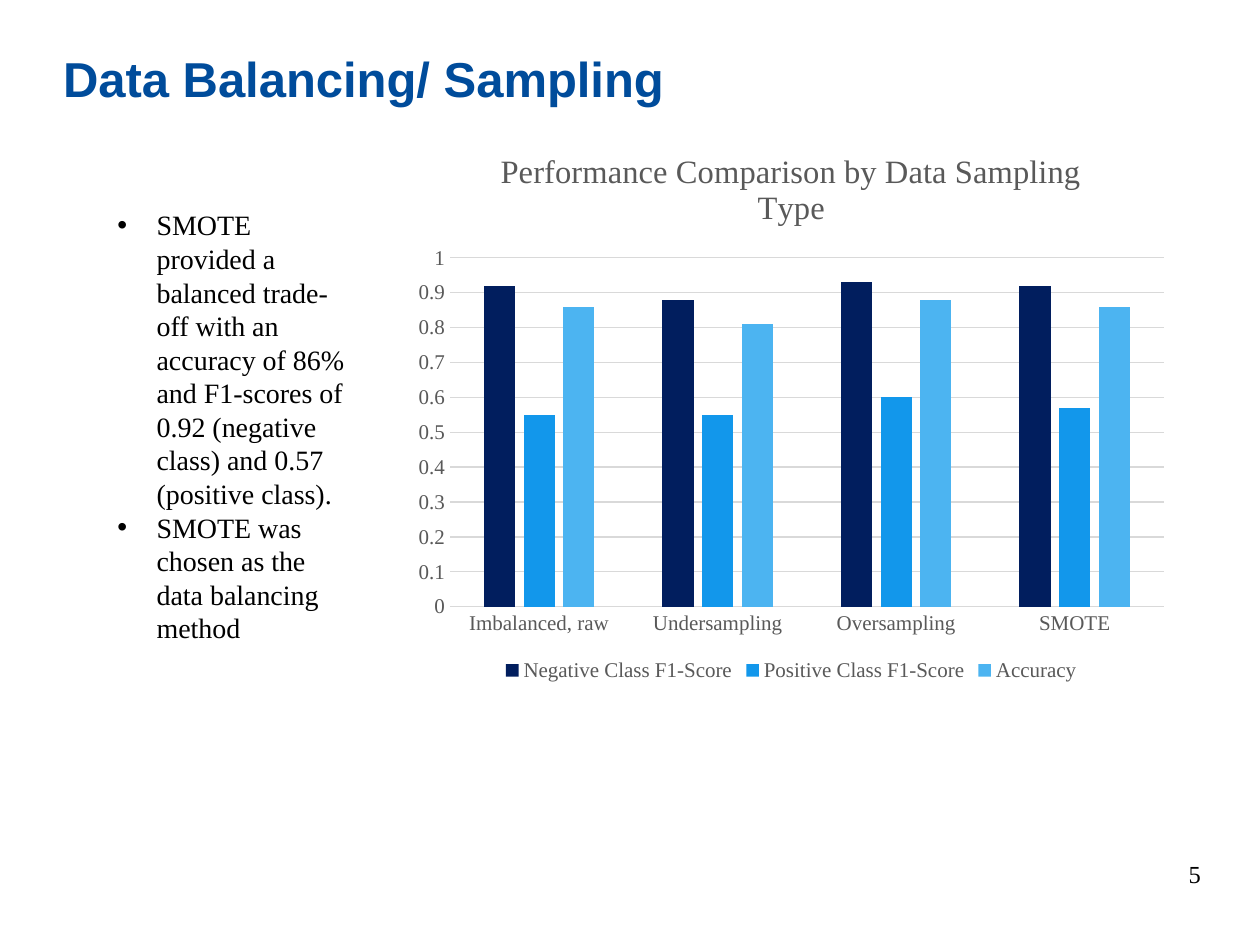
from pptx import Presentation
from pptx.chart.data import CategoryChartData
from pptx.dml.color import RGBColor
from pptx.enum.chart import XL_CHART_TYPE as ChartType, XL_LEGEND_POSITION as LegendPosition, XL_TICK_MARK as TickMark
from pptx.enum.text import MSO_ANCHOR as Anchor, MSO_AUTO_SIZE as AutoSize, PP_ALIGN as Align
from pptx.util import Pt

TITLE = "Data Balancing/ Sampling"
BULLETS = [
    "SMOTE provided a balanced trade-off with an accuracy of 86% and F1-scores of "
    "0.92 (negative class) and 0.57 (positive class).",
    "SMOTE was chosen as the data balancing method",
]
PAGE_NUMBER = "5"
CHART_TITLE = "Performance Comparison by Data Sampling Type"
CATEGORIES = ["Imbalanced, raw", "Undersampling", "Oversampling", "SMOTE"]
SERIES = [
    ("Negative Class F1-Score", "navy", [0.92, 0.88, 0.93, 0.92]),
    ("Positive Class F1-Score", "blue", [0.55, 0.55, 0.6, 0.57]),
    ("Accuracy", "sky", [0.86, 0.81, 0.88, 0.86]),
]

COLORS = {
    "title": "004C9B", "text": "000000", "chart_text": "595959", "grid": "D9D9D9",
    "navy": "011E5E", "blue": "1297EB", "sky": "4CB4F1",
}
SANS, SERIF = "Arial", "Times New Roman"

# left, top, width, height in points
TITLE_AREA = (28.8, 31, 665.3, 84.2)
BODY_AREA = (59.8, 115.2, 150.5, 280.8)
CHART_AREA = (230.4, 72.7, 443.5, 319.7)
NUMBER_AREA = (641.5, 484.6, 51.8, 28.8)
BULLET_INDENT = 22.5


def rgb(name):
    return RGBColor.from_string(COLORS[name])


def style_font(font, name, size, color, bold=False):
    font.name, font.size, font.bold = name, Pt(size), bold
    font.color.rgb = rgb(color)


def add_span(para, text, *style, **options):
    span = para.add_run()
    span.text = text
    style_font(span.font, *style, **options)


def place(shape, area):
    shape.left, shape.top, shape.width, shape.height = map(Pt, area)


def prepare_frame(shape, anchor):
    frame = shape.text_frame
    frame.word_wrap = True
    frame.auto_size = AutoSize.NONE
    frame.vertical_anchor = anchor
    return frame


def add_title(slide):
    place(slide.shapes.title, TITLE_AREA)
    para = prepare_frame(slide.shapes.title, Anchor.TOP).paragraphs[0]
    para.alignment = Align.LEFT
    para.line_spacing = Pt(26.6)
    add_span(para, TITLE, SANS, 28, "title", bold=True)


def add_bullets(slide):
    body = slide.placeholders[1]
    place(body, BODY_AREA)
    frame = prepare_frame(body, Anchor.TOP)
    for index, text in enumerate(BULLETS):
        para = frame.add_paragraph() if index else frame.paragraphs[0]
        properties = para._p.get_or_add_pPr()
        properties.set("marL", str(Pt(BULLET_INDENT)))
        properties.set("indent", str(-Pt(BULLET_INDENT)))
        para.space_before = Pt(0)
        para.line_spacing = Pt(19.2)
        add_span(para, text, SERIF, 16, "text")


def add_page_number(slide):
    box = slide.shapes.add_textbox(*map(Pt, NUMBER_AREA))
    para = prepare_frame(box, Anchor.MIDDLE).paragraphs[0]
    para.alignment = Align.RIGHT
    add_span(para, PAGE_NUMBER, SERIF, 14, "text")


def style_line(line):
    line.color.rgb = rgb("grid")
    line.width = Pt(0.75)


def add_score_chart(slide):
    data = CategoryChartData()
    data.categories = CATEGORIES
    for name, _, values in SERIES:
        data.add_series(name, values)
    chart = slide.shapes.add_chart(
        ChartType.COLUMN_CLUSTERED, *map(Pt, CHART_AREA), data).chart
    style_font(chart.font, SERIF, 10, "text")

    chart.has_title = True
    chart.chart_title.include_in_layout = False
    add_span(chart.chart_title.text_frame.paragraphs[0], CHART_TITLE,
             SERIF, 18.6, "chart_text")

    chart.has_legend = True
    chart.legend.position = LegendPosition.BOTTOM
    chart.legend.include_in_layout = False
    style_font(chart.legend.font, SERIF, 12, "chart_text")

    for axis in (chart.category_axis, chart.value_axis):
        axis.major_tick_mark = axis.minor_tick_mark = TickMark.NONE
        style_font(axis.tick_labels.font, SERIF, 12, "chart_text")
    style_line(chart.category_axis.format.line)
    scale = chart.value_axis
    scale.minimum_scale, scale.maximum_scale, scale.major_unit = 0, 1, 0.1
    scale.format.line.fill.background()
    style_line(scale.major_gridlines.format.line)

    plot = chart.plots[0]
    plot.vary_by_categories = False
    plot.gap_width, plot.overlap = 219, -27
    for series, (_, color, _) in zip(plot.series, SERIES):
        series.format.fill.solid()
        series.format.fill.fore_color.rgb = rgb(color)


def main():
    deck = Presentation()
    deck.slide_width, deck.slide_height = Pt(720), Pt(540)
    slide = deck.slides.add_slide(deck.slide_layouts[1])
    add_title(slide)
    add_bullets(slide)
    add_score_chart(slide)
    add_page_number(slide)
    deck.save("out.pptx")


if __name__ == "__main__":
    main()
